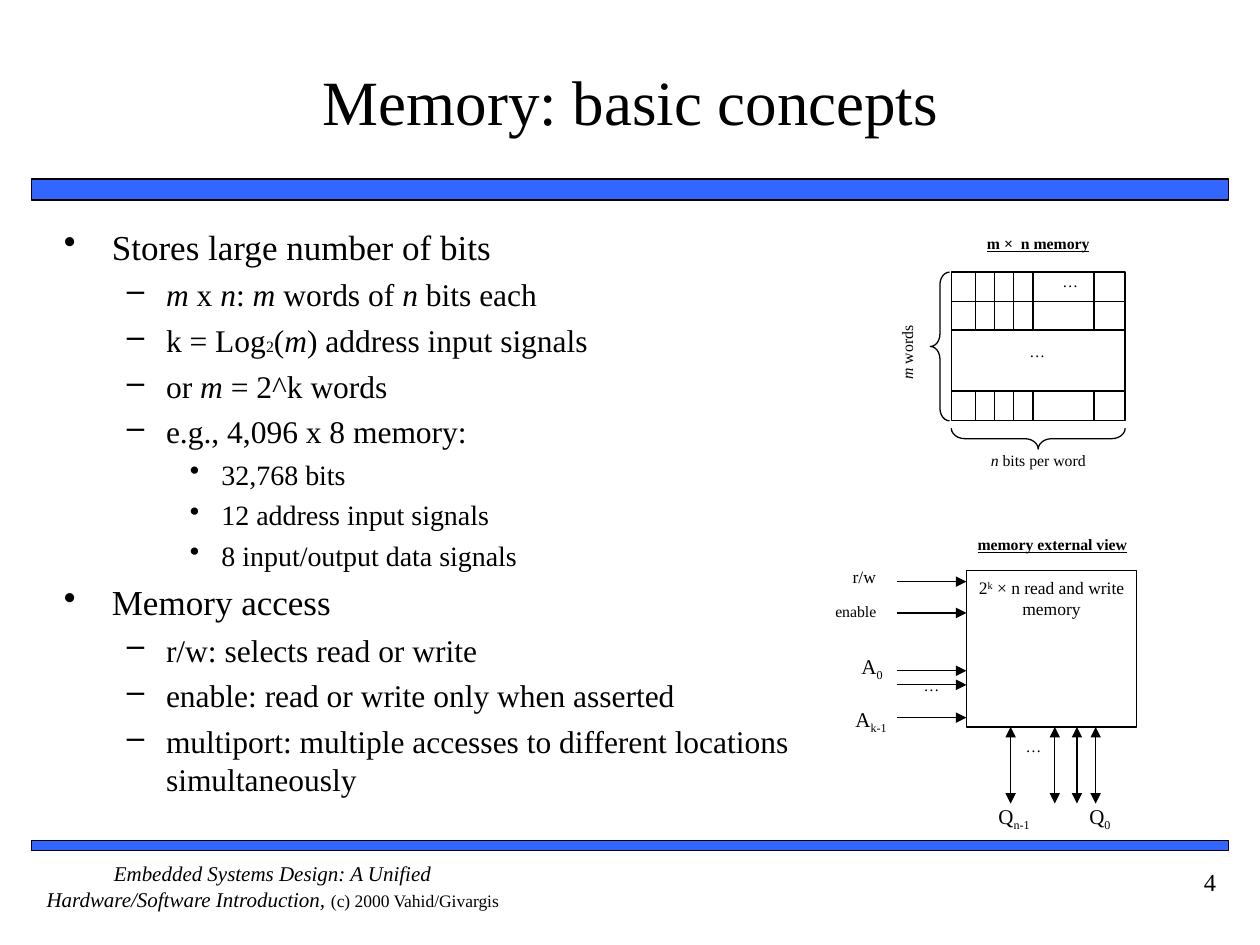
from dataclasses import dataclass

from lxml.etree import SubElement
from pptx import Presentation
from pptx.dml.color import RGBColor
from pptx.enum.shapes import MSO_CONNECTOR, MSO_SHAPE
from pptx.enum.text import MSO_ANCHOR, PP_ALIGN
from pptx.oxml.ns import qn
from pptx.util import Inches, Pt


@dataclass(frozen=True)
class Theme:
    font: str = "Times New Roman"
    ink: RGBColor = RGBColor(0, 0, 0)
    paper: RGBColor = RGBColor(0xFF, 0xFF, 0xFF)
    bar: RGBColor = RGBColor(0x33, 0x66, 0xFF)
    title: int = 36
    levels: tuple = (20, 18, 16)
    number: int = 14
    pin: int = 12
    note: int = 10
    label: int = 9
    hairline: float = 0.75
    bar_line: float = 1


THEME = Theme()


@dataclass(frozen=True)
class Box:
    left: float
    top: float
    width: float
    height: float

    def x(self, share):
        return self.left + share * self.width

    def y(self, share):
        return self.top + share * self.height

    def area(self, left, top, width, height):
        return Box(self.x(left), self.y(top), width * self.width, height * self.height)

    def upright(self):
        """The frame that fills this box after a quarter turn."""
        shift = (self.width - self.height) / 2
        return Box(self.left + shift, self.top - shift, self.height, self.width)

    def inches(self):
        return [Inches(value) for value in (self.left, self.top, self.width, self.height)]


def add_runs(paragraph, runs, size):
    """Runs are plain text or (text, style) pairs."""
    for item in [runs] if isinstance(runs, str) else runs:
        text, style = (item, "") if isinstance(item, str) else item
        run = paragraph.add_run()
        run.text = text
        run.font.name = THEME.font
        run.font.size = Pt({"half": size / 2, "note": THEME.note}.get(style, size))
        run.font.color.rgb = THEME.ink
        if style == "italic":
            run.font.italic = True
        elif style == "heading":
            run.font.bold = run.font.underline = True
        elif style in ("sub", "super"):
            baseline = "-25000" if style == "sub" else "30000"
            run.font._element.set("baseline", baseline)


def set_insets(text_frame, side, end):
    text_frame.word_wrap = True
    text_frame.margin_left = text_frame.margin_right = Inches(side)
    text_frame.margin_top = text_frame.margin_bottom = Inches(end)


def add_text(slide, box, runs, size, align=PP_ALIGN.CENTER, insets=(0, 0), turned=False):
    frame = box.upright() if turned else box
    shape = slide.shapes.add_textbox(*frame.inches())
    shape.rotation = 270 if turned else 0
    set_insets(shape.text_frame, *insets)
    paragraph = shape.text_frame.paragraphs[0]
    paragraph.alignment = align
    add_runs(paragraph, runs, size)
    return shape


def add_outline(slide, kind, box, fill=None, weight=THEME.hairline):
    shape = slide.shapes.add_shape(kind, *box.inches())
    shape.shadow.inherit = False
    shape.line.color.rgb = THEME.ink
    shape.line.width = Pt(weight)
    if fill is None:
        shape.fill.background()
    else:
        shape.fill.solid()
        shape.fill.fore_color.rgb = fill
    return shape


def add_brace(slide, box, turned=False):
    frame = box.upright() if turned else box
    brace = add_outline(slide, MSO_SHAPE.LEFT_BRACE, frame)
    brace.adjustments[0] = 0.65
    brace.rotation = 270 if turned else 0


def add_line(slide, x1, y1, x2, y2, arrow_ends=()):
    ends = [Inches(value) for value in (x1, y1, x2, y2)]
    connector = slide.shapes.add_connector(MSO_CONNECTOR.STRAIGHT, *ends)
    connector.line.color.rgb = THEME.ink
    connector.line.width = Pt(THEME.hairline)
    for end in arrow_ends:
        SubElement(connector.line._get_or_add_ln(), qn(f"a:{end}"), type="triangle")
    SubElement(connector._element.spPr, qn("a:effectLst"))


def add_frame(slide, page):
    """Title, the two bars and the footer."""
    for top, height in ((1.42, 0.17), (6.67, 0.08)):
        bar = page.area(0.025, top / page.height, 0.95, height / page.height)
        add_outline(slide, MSO_SHAPE.RECTANGLE, bar, THEME.bar, THEME.bar_line)
    title = add_text(slide, page.area(0.042, 0.023, 0.917, 0.167),
                     "Memory: basic concepts", THEME.title, insets=(0, 0.05))
    title.text_frame.vertical_anchor = MSO_ANCHOR.MIDDLE
    footer = page.area(0.025, 0.911, 0.95, 0.067)
    source = [("Embedded Systems Design: A Unified Hardware/Software Introduction, ", "italic"),
              ("(c) 2000 Vahid/Givargis", "note")]
    add_text(slide, footer.area(0, 0, 0.403, 1), source, THEME.pin)
    add_text(slide, footer.area(0.895, 0, 0.105, 1), "4", THEME.number,
             PP_ALIGN.RIGHT, (0.1, 0.05))


def add_outline_text(slide, box):
    """Bulleted text in three levels."""
    m, n = ("m", "italic"), ("n", "italic")
    items = [
        (0, "Stores large number of bits"),
        (1, [m, " x ", n, ": ", m, " words of ", n, " bits each"]),
        (1, ["k = Log", ("2", "half"), "(", m, ") address input signals"]),
        (1, ["or ", m, " = 2^k words"]),
        (1, "e.g., 4,096 x 8 memory:"),
        (2, "32,768 bits"),
        (2, "12 address input signals"),
        (2, "8 input/output data signals"),
        (0, "Memory access"),
        (1, "r/w: selects read or write"),
        (1, "enable: read or write only when asserted"),
        (1, "multiport: multiple accesses to different locations simultaneously"),
    ]
    indents = ((0.38, 0.38, "•"), (0.81, 0.31, "–"), (1.25, 0.25, "•"))
    text_frame = slide.shapes.add_textbox(*box.inches()).text_frame
    set_insets(text_frame, 0.1, 0.05)
    for index, (level, runs) in enumerate(items):
        paragraph = text_frame.add_paragraph() if index else text_frame.paragraphs[0]
        margin, hanging, bullet = indents[level]
        size = THEME.levels[level]
        paragraph.level = level
        paragraph.space_before = Pt(size / 4 if index else 0)
        properties = paragraph._p.get_or_add_pPr()
        properties.set("marL", str(Inches(margin)))
        properties.set("indent", str(-Inches(hanging)))
        SubElement(properties, qn("a:buChar"), char=bullet)
        add_runs(paragraph, runs, size)


def add_memory_array(slide, box):
    """The m by n cell array; the box is the array itself."""
    add_outline(slide, MSO_SHAPE.RECTANGLE, box, THEME.paper)
    rows = (0.2, 0.39, 0.8)
    for row in rows:
        add_line(slide, box.x(0), box.y(row), box.x(1), box.y(row))
    for column in (0.14, 0.25, 0.36, 0.47, 0.82):
        for top, bottom in ((0, rows[1]), (rows[2], 1)):
            add_line(slide, box.x(column), box.y(top), box.x(column), box.y(bottom))
    # Braces and labels
    add_brace(slide, box.area(-0.12, 0, 0.11, 1))
    add_brace(slide, box.area(0, 1.05, 1, 0.14), turned=True)
    for place, runs, turned in (
        ((0, -0.26, 1, 0.2), [("m ×  n memory", "heading")], False),
        ((0.55, 0, 0.27, 0.2), "…", False),
        ((0.36, 0.47, 0.27, 0.2), "…", False),
        ((0, 1.2, 1, 0.22), [("n", "italic"), " bits per word"], False),
        ((-0.31, 0.09, 0.17, 0.9), [("m", "italic"), " words"], True),
    ):
        add_text(slide, box.area(*place), runs, THEME.label, turned=turned)


def add_external_view(slide, box):
    """The memory block with its pins; the box is the block itself."""
    block = add_outline(slide, MSO_SHAPE.RECTANGLE, box, THEME.paper)
    block.text_frame.vertical_anchor = MSO_ANCHOR.TOP
    set_insets(block.text_frame, 0, 0.05)
    paragraph = block.text_frame.paragraphs[0]
    paragraph.alignment = PP_ALIGN.CENTER
    add_runs(paragraph, ["2", ("k", "super"), " × n read and write memory"], THEME.note)
    # Inputs on the left, data pins below
    for row in (0.07, 0.27, 0.64, 0.73, 0.94):
        add_line(slide, box.x(-0.41), box.y(row), box.x(0), box.y(row), ["tailEnd"])
    for column in (0.26, 0.52, 0.65, 0.76):
        add_line(slide, box.x(column), box.y(1), box.x(column), box.y(1.49),
                 ["headEnd", "tailEnd"])
    # Labels
    for left, top, width, runs, size in (
        (-0.1, -0.23, 1.21, [("memory external view", "heading")], THEME.label),
        (-0.84, -0.03, 0.48, "r/w", THEME.note),
        (-0.89, 0.2, 0.48, "enable", THEME.label),
        (-0.69, 0.53, 0.27, ["A", ("0", "sub")], THEME.pin),
        (-0.34, 0.67, 0.27, "…", THEME.label),
        (-0.7, 0.87, 0.28, ["A", ("k-1", "sub")], THEME.pin),
        (0.26, 1.06, 0.27, "…", THEME.label),
        (0.05, 1.49, 0.46, ["Q", ("n-1", "sub")], THEME.pin),
        (0.7, 1.49, 0.17, ["Q", ("0", "sub")], THEME.pin),
    ):
        add_text(slide, box.area(left, top, width, 0.2), runs, size)


def main():
    presentation = Presentation()
    page = Box(0, 0, 10, 7.5)
    presentation.slide_width = Inches(page.width)
    presentation.slide_height = Inches(page.height)
    slide = presentation.slides.add_slide(presentation.slide_layouts[6])
    add_frame(slide, page)
    add_outline_text(slide, Box(0.41, 1.74, 6, 4.84))
    add_memory_array(slide, Box(7.55, 2.16, 1.38, 1.18))
    add_external_view(slide, Box(7.67, 4.53, 1.35, 1.24))
    presentation.save("out.pptx")


if __name__ == "__main__":
    main()
